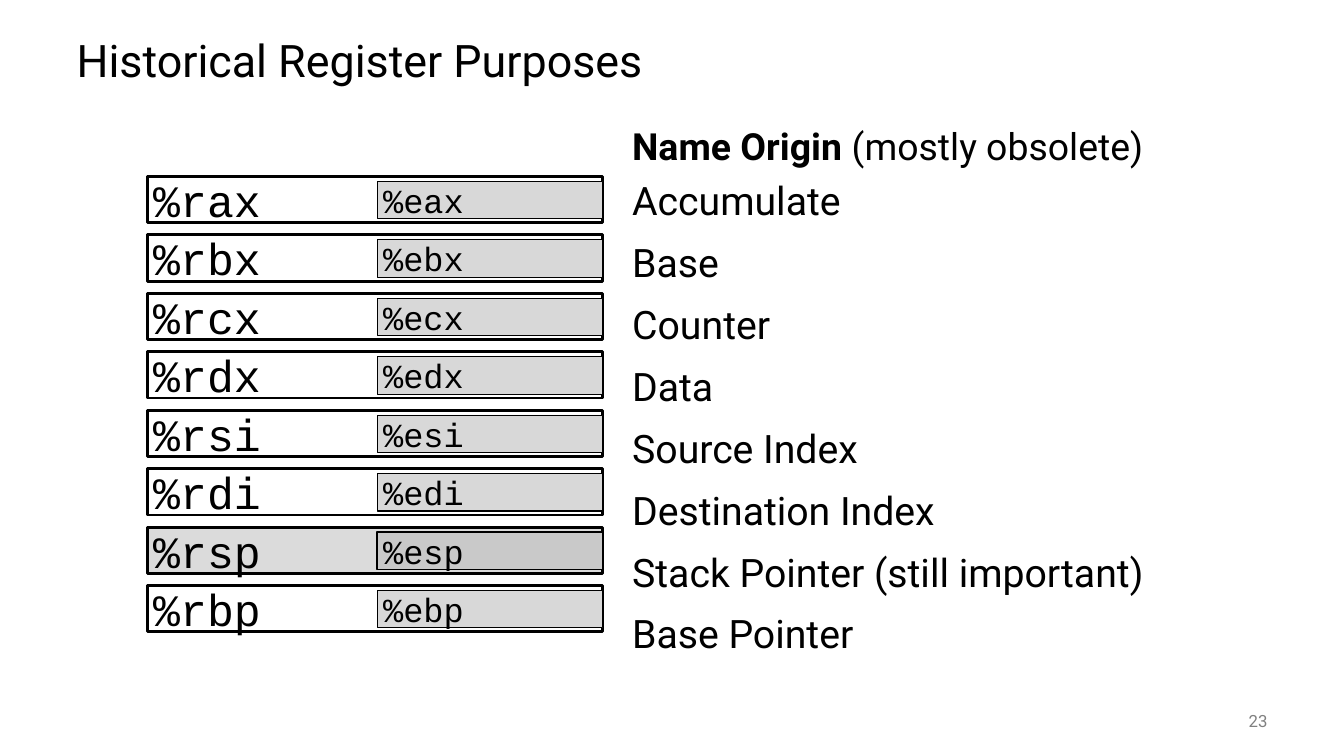
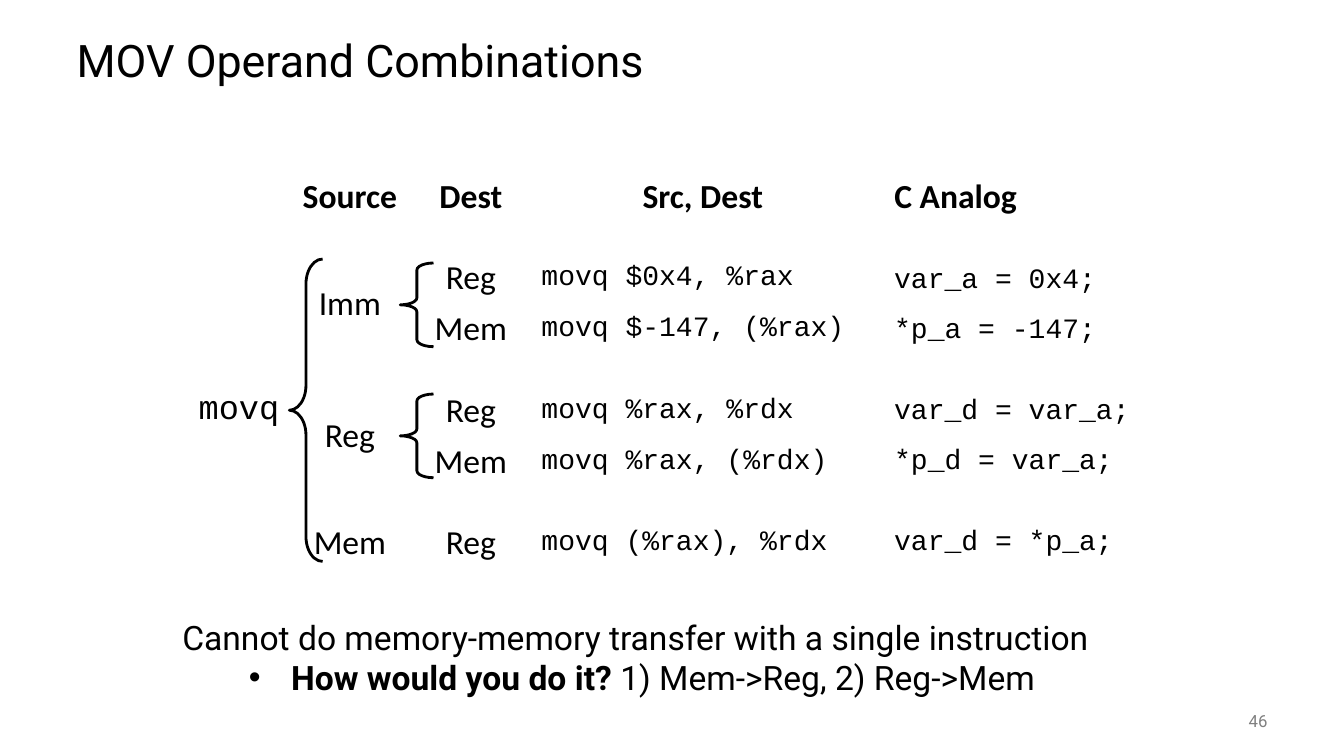
import dataclasses

import pptx
import pptx.dml.color
import pptx.enum.shapes
import pptx.enum.text
import pptx.util
from lxml import etree
from pptx.oxml.ns import qn

Inches = pptx.util.Inches
Pt = pptx.util.Pt
ALIGN = pptx.enum.text.PP_ALIGN
ANCHOR = pptx.enum.text.MSO_ANCHOR
SHAPE = pptx.enum.shapes.MSO_SHAPE


@dataclasses.dataclass(frozen=True)
class Theme:
    ink: str = "000000"
    muted: str = "808080"
    low_half: str = "D8D8D8"
    active_row: str = "DBDBDB"
    active_low_half: str = "C9C9C9"
    sans: str = "Roboto"
    code: str = "Courier New"
    label: str = "Calibri"
    title_size: float = 32
    body_size: float = 28
    heading_size: float = 26.7
    text_size: float = 24
    code_size: float = 20
    number_size: float = 12
    empty_size: float = 8


class Lecture:
    """Holds the deck, its theme and the slide being built."""

    TITLE_AND_BODY, TITLE_ONLY = 1, 5

    def __init__(self, theme):
        self.theme = theme
        self.deck = pptx.Presentation()
        self.deck.slide_width = Inches(13.33)
        self.deck.slide_height = Inches(7.5)
        self.page = None

    def new_page(self, layout, title, number):
        self.page = self.deck.slides.add_slide(self.deck.slide_layouts[layout])
        heading = self.page.shapes.title
        self.place(heading, 0.66, 0.25, 12, 0.75)
        frame = self.prepare(heading, ANCHOR.MIDDLE)
        para = frame.paragraphs[0]
        para.alignment = ALIGN.LEFT
        para.line_spacing = 0.9
        self.span(para, title, self.theme.title_size)
        para = self.text_box(11.67, 6.95, 1, 0.4, ANCHOR.MIDDLE).paragraphs[0]
        para.alignment = ALIGN.RIGHT
        self.span(para, number, self.theme.number_size, color=self.theme.muted)

    def place(self, shape, left, top, width, height):
        shape.left, shape.top = Inches(left), Inches(top)
        shape.width, shape.height = Inches(width), Inches(height)

    def prepare(self, shape, anchor):
        frame = shape.text_frame
        frame.word_wrap = True
        frame.auto_size = pptx.enum.text.MSO_AUTO_SIZE.NONE
        frame.vertical_anchor = anchor
        return frame

    def span(self, para, text, size, font=None, bold=False, color=None):
        span = para.add_run()
        span.text = text
        span.font.name = font or self.theme.sans
        span.font.size = Pt(size)
        span.font.bold = bold
        span.font.color.rgb = pptx.dml.color.RGBColor.from_string(color or self.theme.ink)

    def bullet(self, para, symbol=None, left=0, hanging=0):
        """Set the indent and the bullet; without a symbol there is none."""
        props = para._p.get_or_add_pPr()
        props.set("marL", str(Inches(left)))
        props.set("indent", str(-Inches(hanging)))
        if symbol:
            etree.SubElement(props, qn("a:buFont"), typeface="Arial")
            etree.SubElement(props, qn("a:buChar"), char=symbol)
        else:
            etree.SubElement(props, qn("a:buNone"))

    def text_box(self, left, top, width, height, anchor=ANCHOR.TOP):
        box = self.page.shapes.add_textbox(
            Inches(left), Inches(top), Inches(width), Inches(height))
        return self.prepare(box, anchor)

    def body(self, lines, left, top, width, height):
        holder = self.page.placeholders[1]
        self.place(holder, left, top, width, height)
        frame = self.prepare(holder, ANCHOR.TOP)
        for index, line in enumerate(lines):
            para = frame.add_paragraph() if index else frame.paragraphs[0]
            self.bullet(para)
            para.line_spacing = 0.9
            para.space_before = Pt(14 if index else 0)
            self.span(para, line, self.theme.body_size)

    def outline(self, kind, left, top, width, height, weight=2, fill=None):
        shape = self.page.shapes.add_shape(
            kind, Inches(left), Inches(top), Inches(width), Inches(height))
        shape.shadow.inherit = False
        shape.line.color.rgb = pptx.dml.color.RGBColor.from_string(self.theme.ink)
        shape.line.width = Pt(weight)
        if fill:
            shape.fill.solid()
            shape.fill.fore_color.rgb = pptx.dml.color.RGBColor.from_string(fill)
        else:
            shape.fill.background()
        return shape

    def register(self, name, size, left, top, width, height, weight, fill=None):
        box = self.outline(SHAPE.RECTANGLE, left, top, width, height, weight, fill)
        frame = self.prepare(box, ANCHOR.MIDDLE)
        frame.margin_left = frame.margin_right = Inches(0.06)
        frame.margin_top = frame.margin_bottom = Inches(0.06)
        para = frame.paragraphs[0]
        para.alignment = ALIGN.LEFT
        self.span(para, name, size, self.theme.code)

    def brace(self, left, top, height, curve):
        shape = self.outline(SHAPE.LEFT_BRACE, left, top, 0.33, height)
        shape.adjustments[0] = curve
        shape.adjustments[1] = 0.5

    def table(self, left, top, widths, heights):
        """Add a table without fills, with low empty cells."""
        frame = self.page.shapes.add_table(
            len(heights), len(widths), Inches(left), Inches(top),
            Inches(sum(widths)), Inches(sum(heights)))
        grid = frame.table
        grid.first_row = grid.horz_banding = False
        for column, width in zip(grid.columns, widths):
            column.width = Inches(width)
        for row, height in zip(grid.rows, heights):
            row.height = Inches(height)
        for cell in grid.iter_cells():
            cell.fill.background()
            cell.vertical_anchor = ANCHOR.MIDDLE
            etree.SubElement(cell.text_frame.paragraphs[0]._p, qn("a:endParaRPr"),
                             sz=str(self.theme.empty_size * 100))
        return grid

    def cell(self, cell, text, size, font, bold=False, align=ALIGN.CENTER):
        para = cell.text_frame.paragraphs[0]
        para.alignment = align
        self.span(para, text, size, font, bold)


def registers_page(lecture):
    theme = lecture.theme
    lecture.new_page(lecture.TITLE_AND_BODY, "Historical Register Purposes", "23")
    lecture.body(
        ["Accumulate", "Base", "Counter", "Data", "Source Index", "Destination Index",
         "Stack Pointer (still important)", "Base Pointer"], 6.17, 1.75, 6.5, 4.95)
    for index, name in enumerate(["ax", "bx", "cx", "dx", "si", "di", "sp", "bp"]):
        top = 1.75 + 0.58 * index
        active = name == "sp"
        lecture.register("%r" + name, theme.title_size, 1.46, top, 4.52, 0.46, 2,
                         theme.active_row if active else None)
        lecture.register("%e" + name, theme.text_size, 3.74, top + 0.05, 2.24, 0.37,
                         1 if active else 0.75,
                         theme.active_low_half if active else theme.low_half)
    para = lecture.text_box(6.17, 1.17, 5.71, 0.55).paragraphs[0]
    lecture.span(para, "Name Origin", theme.heading_size, bold=True)
    lecture.span(para, " (mostly obsolete)", theme.heading_size)


def operands_page(lecture):
    theme = lecture.theme
    lecture.new_page(lecture.TITLE_ONLY, "MOV Operand Combinations", "46")
    top, full, gap = 1.7, 0.5, 0.3
    heights = [full, gap, full, full, gap, full, full, gap, full]
    grid = lecture.table(1.87, top, [1, 1.2, 1.2, 3.5, 2.6], heights)

    for column, heading in enumerate(["Source", "Dest", "Src, Dest", "C Analog"], 1):
        lecture.cell(grid.cell(0, column), heading, theme.text_size, theme.label, True,
                     ALIGN.LEFT if heading == "C Analog" else ALIGN.CENTER)
    for row in range(len(heights)):
        grid.cell(row, 3).margin_right = Inches(0.2)

    grid.cell(2, 0).merge(grid.cell(8, 0))
    grid.cell(2, 0).margin_left = grid.cell(2, 0).margin_right = Inches(0.05)
    lecture.cell(grid.cell(2, 0), "movq", theme.text_size, theme.code)
    for first, last, source in [(2, 3, "Imm"), (5, 6, "Reg"), (8, 8, "Mem")]:
        if last > first:
            grid.cell(first, 1).merge(grid.cell(last, 1))
        lecture.cell(grid.cell(first, 1), source, theme.text_size, theme.label)

    lecture.brace(2.87, 2.57, 3, 0.75)
    for brace_top in (2.61, 3.91):
        lecture.brace(3.97, brace_top, 0.83, 0.21)

    moves = [
        (2, "Reg", "movq $0x4, %rax", "var_a = 0x4;"),
        (3, "Mem", "movq $-147, (%rax)", "*p_a = -147;"),
        (5, "Reg", "movq %rax, %rdx", "var_d = var_a;"),
        (6, "Mem", "movq %rax, (%rdx)", "*p_d = var_a;"),
        (8, "Reg", "movq (%rax), %rdx", "var_d = *p_a;"),
    ]
    for row, target, instruction, analog in moves:
        lecture.cell(grid.cell(row, 2), target, theme.text_size, theme.label)
        lecture.cell(grid.cell(row, 3), instruction, theme.code_size, theme.code,
                     align=ALIGN.LEFT)
        frame = lecture.text_box(8.77, top + sum(heights[:row]), 2.6, full, ANCHOR.MIDDLE)
        lecture.span(frame.paragraphs[0], analog, theme.code_size, theme.code)

    frame = lecture.text_box(1.71, 6.07, 9.81, 0.91)
    lecture.span(frame.paragraphs[0],
                 "Cannot do memory-memory transfer with a single instruction",
                 theme.text_size)
    para = frame.add_paragraph()
    para.level = 1
    lecture.bullet(para, "•", 1.08, 0.42)
    lecture.span(para, "How would you do it? ", theme.text_size, bold=True)
    lecture.span(para, "1) Mem->Reg, 2) Reg->Mem", theme.text_size)


def main():
    lecture = Lecture(Theme())
    registers_page(lecture)
    operands_page(lecture)
    lecture.deck.save("out.pptx")


if __name__ == "__main__":
    main()
